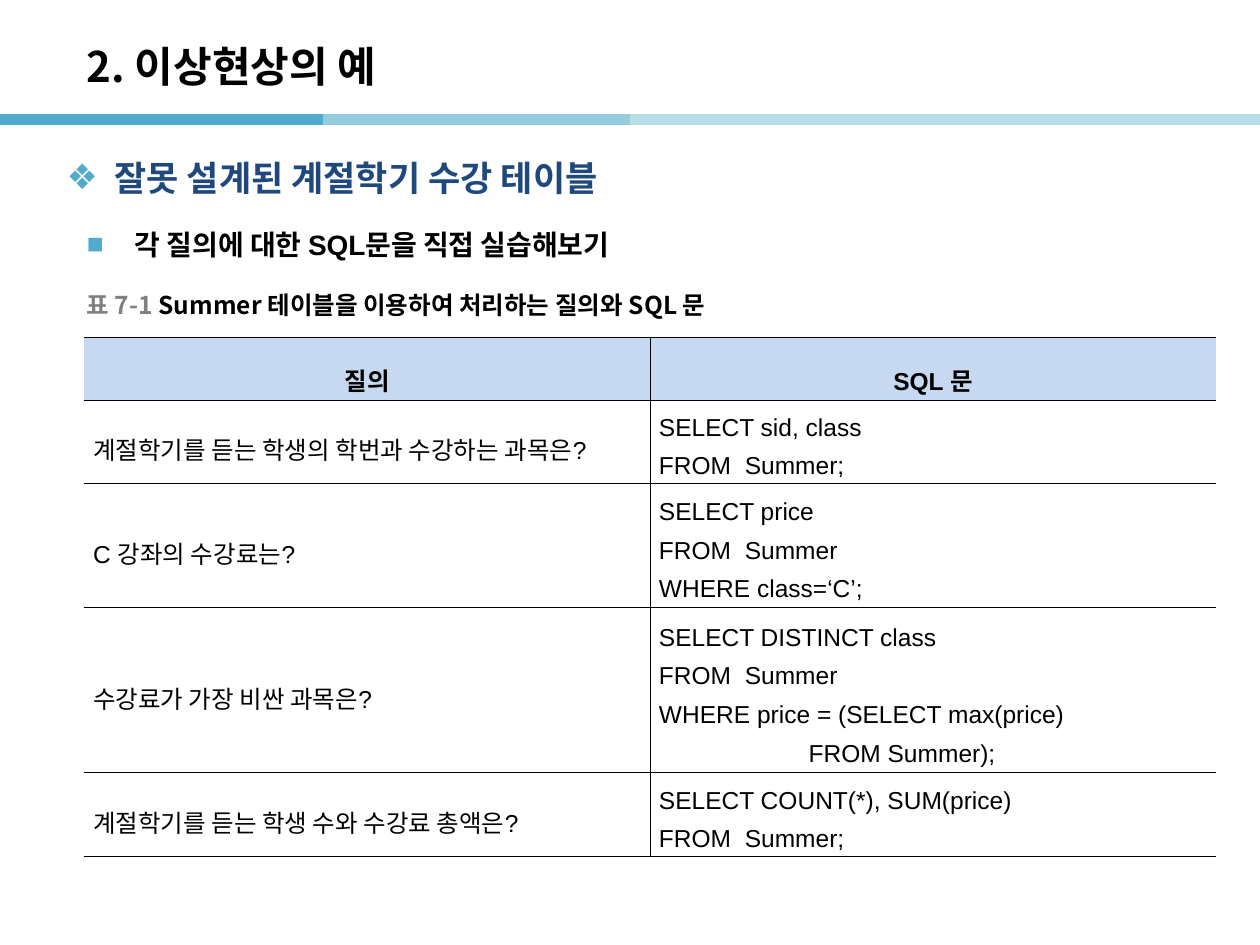
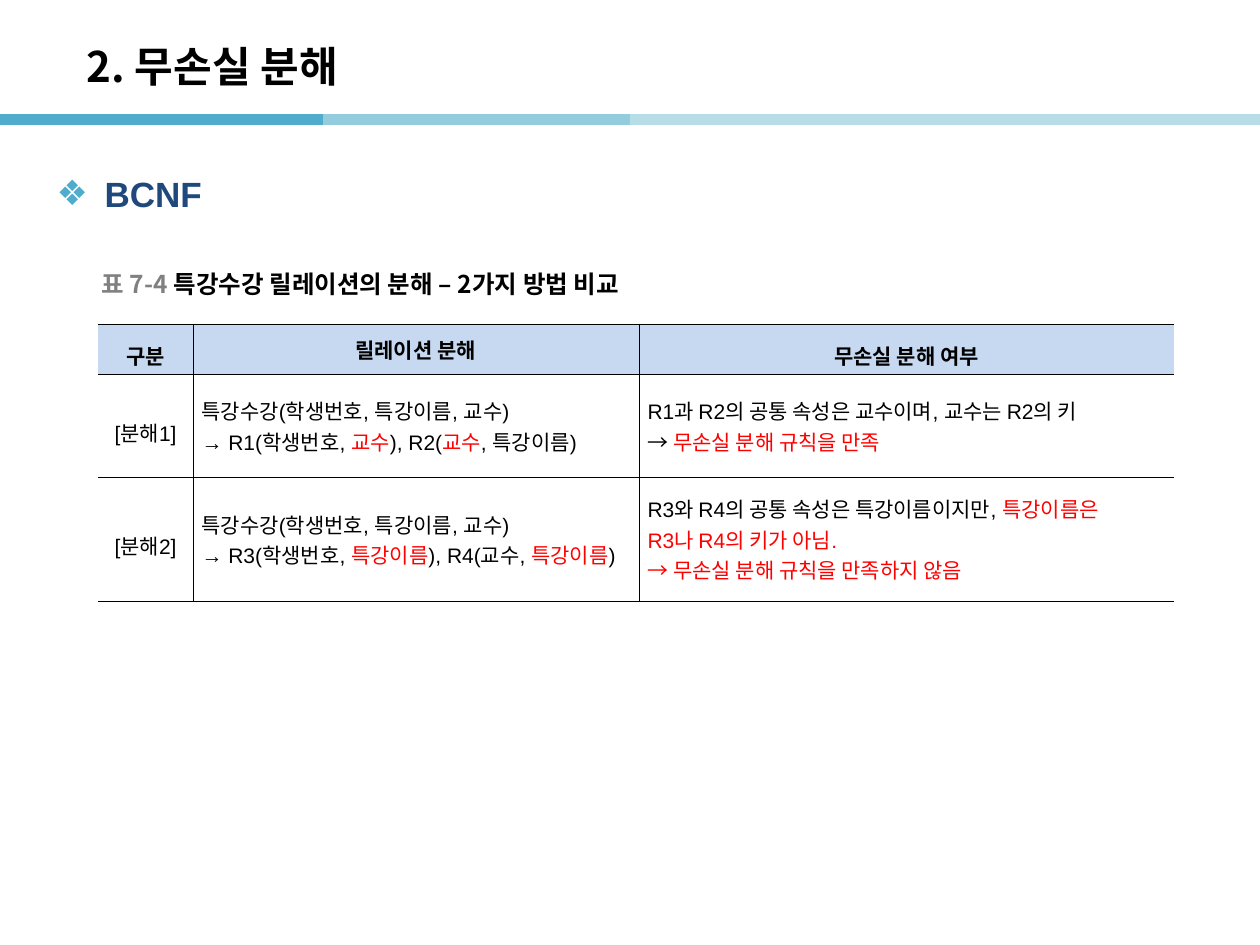
from lxml.etree import SubElement
from pptx import Presentation
from pptx.dml.color import RGBColor
from pptx.enum.shapes import MSO_CONNECTOR
from pptx.enum.text import MSO_ANCHOR, MSO_AUTO_SIZE, PP_ALIGN
from pptx.oxml import parse_xml
from pptx.oxml.ns import nsdecls, qn
from pptx.util import Inches, Pt

COLORS = {
    "ink": "000000",
    "heading": "1F497D",
    "caption": "808080",
    "red": "FF0000",
    "header": "C6D9F1",
    "teal": "50ABCC",
    "aqua": "93CDDD",
    "pale": "B7DEE8",
}
LATIN = "Arial"
KOREAN = "Noto Sans CJK KR"
BANDS = [(0, 2.56, "teal"), (2.56, 5.12, "aqua"), (5, 7.56, "pale"), (7.46, 10.02, "pale")]
LEFT, CENTER = PP_ALIGN.LEFT, PP_ALIGN.CENTER

QUERY_ROWS = [
    ["질의", "SQL 문"],
    ["계절학기를 듣는 학생의 학번과 수강하는 과목은?", "SELECT sid, class\nFROM  Summer;"],
    ["C 강좌의 수강료는?", "SELECT price\nFROM  Summer\nWHERE class=‘C’;"],
    [
        "수강료가 가장 비싼 과목은?",
        "SELECT DISTINCT class\nFROM  Summer\nWHERE price = (SELECT max(price)\n"
        "                      FROM Summer);",
    ],
    ["계절학기를 듣는 학생 수와 수강료 총액은?", "SELECT COUNT(*), SUM(price)\nFROM  Summer;"],
]
SPLIT_ROWS = [
    ["구분", "릴레이션 분해", "무손실 분해 여부"],
    [
        "[분해1]",
        "특강수강(학생번호, 특강이름, 교수)\n→ R1(학생번호, |교수|), R2(|교수|, 특강이름)",
        "R1과 R2의 공통 속성은 교수이며, 교수는 R2의 키\n→ |무손실 분해 규칙을 만족|",
    ],
    [
        "[분해2]",
        "특강수강(학생번호, 특강이름, 교수)\n→ R3(학생번호, |특강이름|), R4(교수, |특강이름|)",
        "R3와 R4의 공통 속성은 특강이름이지만, |특강이름은|\n"
        "|R3나 R4의 키가 아님.|\n|→ 무손실 분해 규칙을 만족하지 않음|",
    ],
]


def rgb(name):
    return RGBColor.from_string(COLORS[name])


def add_bullet(para, mark):
    properties = para._p.get_or_add_pPr()
    properties.set("marL", str(Inches(0.38)))
    properties.set("indent", str(-Inches(0.38)))
    color = SubElement(properties, qn("a:buClr"))
    SubElement(color, qn("a:srgbClr"), val=COLORS["teal"])
    SubElement(properties, qn("a:buFont"), typeface=LATIN)
    SubElement(properties, qn("a:buChar"), char=mark)


def write(frame, text, size=14, color="ink", accent="red", bold=True, font=LATIN,
          align=LEFT, spacing=1.0, bullet=None):
    """Spans between bars take the accent colour."""
    for index, line in enumerate(text.split("\n")):
        para = frame.add_paragraph() if index else frame.paragraphs[0]
        para.alignment = align
        para.line_spacing = spacing
        para.space_before = Pt(0)
        if bullet:
            add_bullet(para, bullet)
        for order, part in enumerate(line.split("|")):
            if not part:
                continue
            span = para.add_run()
            span.text = part
            span.font.size = Pt(size)
            span.font.bold = bold
            span.font.name = font
            span.font.color.rgb = rgb(accent if order % 2 else color)
            SubElement(span._r.get_or_add_rPr(), qn("a:ea"), typeface=KOREAN)


def place(shape, box):
    shape.left, shape.top, shape.width, shape.height = map(Inches, box)


def prepare_layout(layout, page):
    place(layout.placeholders[0], (0.59, 0.22, 8.27, 0.6))
    for start, end, color in BANDS:
        band = page.shapes.add_connector(
            MSO_CONNECTOR.STRAIGHT, Inches(start), Inches(0.95), Inches(end), Inches(0.95))
        band.line.color.rgb = rgb(color)
        band.line.width = Pt(6)
        SubElement(band.element.spPr, qn("a:effectLst"))
        layout.shapes.element.append(band.element)


def add_title(page, text):
    frame = page.shapes.title.text_frame
    frame.vertical_anchor = MSO_ANCHOR.MIDDLE
    frame.auto_size = MSO_AUTO_SIZE.NONE
    write(frame, text, size=24, font=KOREAN)


def add_body(page, box, text, **style):
    body = page.placeholders[1]
    place(body, box)
    body.text_frame.auto_size = MSO_AUTO_SIZE.NONE
    write(body.text_frame, text, **style)


def add_text(page, box, text, anchor=MSO_ANCHOR.TOP, **style):
    frame = page.shapes.add_textbox(*map(Inches, box)).text_frame
    frame.word_wrap = True
    frame.vertical_anchor = anchor
    write(frame, text, **style)


def add_caption(page, left, top, text):
    add_text(page, (left, top, 6, 0.31), text, anchor=MSO_ANCHOR.MIDDLE,
             font=KOREAN, accent="caption")


def set_borders(cell, sides):
    properties = cell._tc.get_or_add_tcPr()
    for index, side in enumerate("LRTB"):
        paint = (f'<a:solidFill><a:srgbClr val="{COLORS["ink"]}"/></a:solidFill>'
                 if side in sides else "<a:noFill/>")
        properties.insert(index, parse_xml(
            f'<a:ln{side} {nsdecls("a")} w="{Pt(0.28)}">{paint}</a:ln{side}>'))


def add_grid(page, box, rows, widths, heights, size, header_spacing, body_spacing, body_align):
    table = page.shapes.add_table(len(rows), len(widths), *map(Inches, box)).table
    table.first_row = table.horz_banding = False
    for column, width in zip(table.columns, widths):
        column.width = Inches(width)
    for row, height in zip(table.rows, heights):
        row.height = Inches(height)
    last = len(widths) - 1
    for r, texts in enumerate(rows):
        for c, text in enumerate(texts):
            cell = table.cell(r, c)
            cell.vertical_anchor = MSO_ANCHOR.MIDDLE
            cell.margin_left = cell.margin_right = Inches(0.07)
            cell.margin_top = cell.margin_bottom = Inches(0.02)
            if r == 0:
                cell.fill.solid()
                cell.fill.fore_color.rgb = rgb("header")
            else:
                cell.fill.background()
            set_borders(cell, "TB" + ("L" if c > 0 else "") + ("R" if c < last else ""))
            write(cell.text_frame, text, size=size, bold=r == 0,
                  align=body_align[c] if r else CENTER,
                  spacing=body_spacing[c] if r else header_spacing[c])


HEADING = {"size": 20, "color": "heading", "bullet": "❖"}


def build_query_slide(page):
    add_title(page, "2. 이상현상의 예")
    add_body(page, (0.59, 1.62, 8.82, 5.67), "각 질의에 대한 SQL문을 직접 실습해보기",
             size=16, spacing=1.5, bullet="■")
    add_grid(page, (0.67, 2.68, 8.98, 4.06), QUERY_ROWS, [4.49] * 2,
             [0.44, 0.66, 0.99, 1.31, 0.66], 14, [1.6] * 2, [1.4] * 2, [LEFT] * 2)
    add_caption(page, 0.59, 2.26, "|표 7-1 |Summer 테이블을 이용하여 처리하는 질의와 SQL 문")
    add_text(page, (0.43, 1.19, 8.82, 0.7), "잘못 설계된 계절학기 수강 테이블", **HEADING)


def build_split_slide(page):
    add_title(page, "2. 무손실 분해")
    add_body(page, (0.35, 1.15, 8.82, 0.7), "BCNF", spacing=1.5, **HEADING)
    add_grid(page, (0.78, 2.57, 8.54, 2.2), SPLIT_ROWS, [0.75, 3.54, 4.25],
             [0.4, 0.82, 0.98], 12, [1.4, 1, 1.4], [1.4, 1, 1], [CENTER, LEFT, LEFT])
    add_caption(page, 0.71, 2.1, "|표 7-4 |특강수강 릴레이션의 분해 – 2가지 방법 비교")


def main():
    deck = Presentation()
    deck.slide_width, deck.slide_height = Inches(10), Inches(7.5)
    layout = deck.slide_layouts[1]
    query_page, split_page = (deck.slides.add_slide(layout) for _ in range(2))
    prepare_layout(layout, query_page)
    build_query_slide(query_page)
    build_split_slide(split_page)
    deck.save("out.pptx")


if __name__ == "__main__":
    main()
